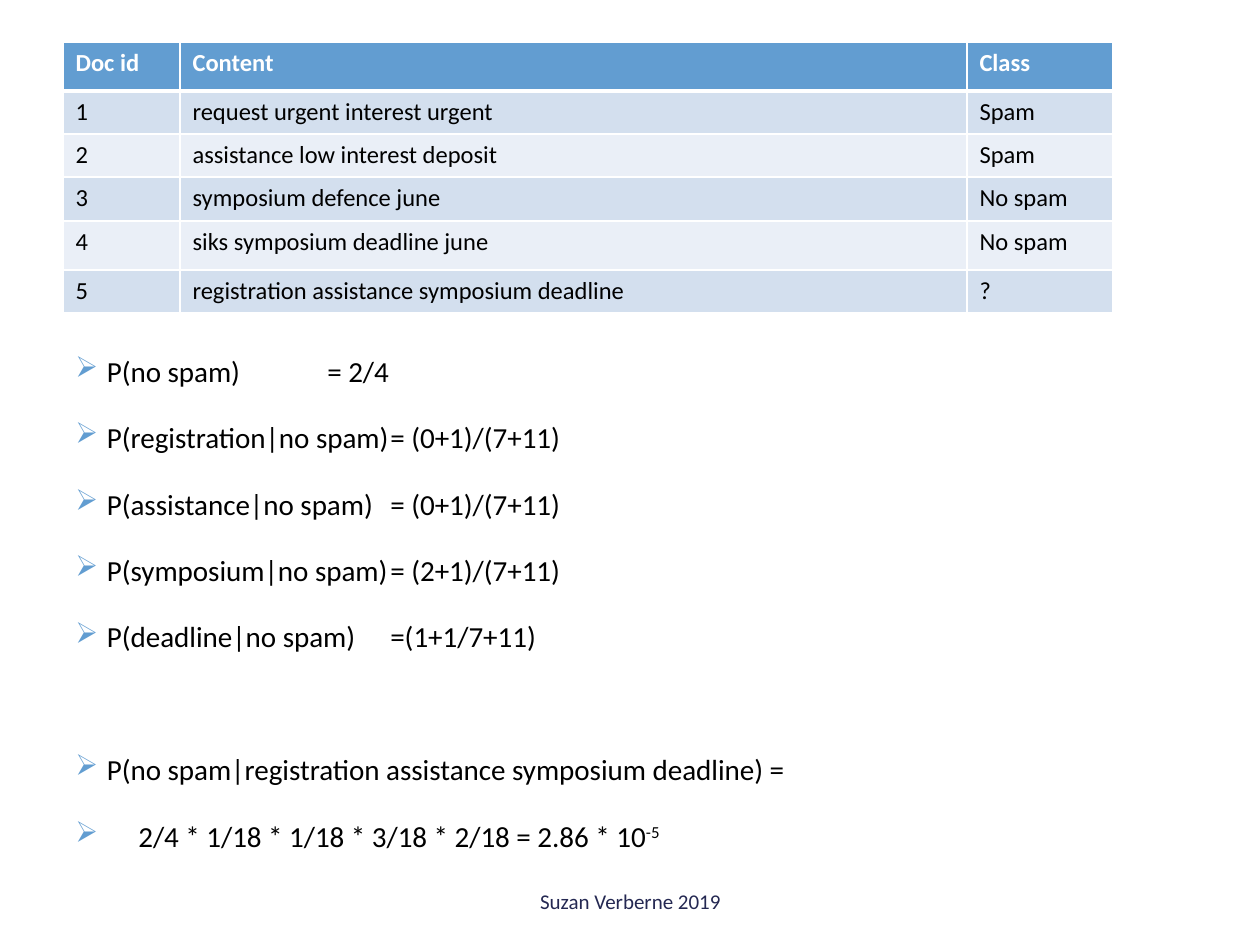
from lxml.etree import SubElement
from pptx import Presentation
from pptx.dml.color import RGBColor
from pptx.enum.text import MSO_ANCHOR, PP_ALIGN
from pptx.oxml import parse_xml
from pptx.oxml.ns import nsdecls, qn
from pptx.util import Emu, Pt

EMU_PER_PIXEL = 914400 / 126
BLUE, WHITE, BLACK, NAVY = "629DD1", "FFFFFF", "000000", "242852"
BANDS = ["D3DFEE", "EAEFF7"]

DOCUMENTS = [
    ("Doc id", "Content", "Class"),
    ("1", "request urgent interest urgent", "Spam"),
    ("2", "assistance low interest deposit", "Spam"),
    ("3", "symposium defence june", "No spam"),
    ("4", "siks symposium deadline june", "No spam"),
    ("5", "registration assistance symposium deadline", "?"),
]
COLUMN_WIDTHS = [117, 787, 146]
ROW_HEIGHTS = [49, 43, 43, 44, 49, 43]

PROBABILITIES = [
    ("P(no spam)\t\t= 2/4", 0),
    ("P(registration|no spam)\t= (0+1)/(7+11)", 18),
    ("P(assistance|no spam)\t= (0+1)/(7+11)", 18),
    ("P(symposium|no spam)\t= (2+1)/(7+11)", 18),
    ("P(deadline|no spam)\t=(1+1/7+11)", 18),
    ("P(no spam|registration assistance symposium deadline) =", 56),
    ("\t2/4 * 1/18 * 1/18 * 3/18 * 2/18 = 2.86 * 10", 18),
]


def px(pixels):
    return Emu(round(pixels * EMU_PER_PIXEL))


def color(hex_code):
    return RGBColor.from_string(hex_code)


def write(paragraph, text, size, hex_code=BLACK, bold=False, baseline=0):
    run = paragraph.add_run()
    run.text = text
    run.font.name = "Calibri"
    run.font.size = Pt(size)
    run.font.bold = bold
    run.font.color.rgb = color(hex_code)
    if baseline:
        run.font._element.set("baseline", str(baseline * 1000))


def set_borders(cell, widths):
    properties = cell._tc.get_or_add_tcPr()
    for position, (side, width) in enumerate(widths.items()):
        properties.insert(position, parse_xml(
            f'<a:ln{side} {nsdecls("a")} w="{Pt(width)}"><a:solidFill>'
            f'<a:srgbClr val="{WHITE}"/></a:solidFill></a:ln{side}>'))


def add_bullet(paragraph):
    properties = paragraph._p.get_or_add_pPr()
    properties.set("marL", str(px(31.5)))
    properties.set("indent", str(px(-31.5)))
    bullet_color = SubElement(properties, qn("a:buClr"))
    SubElement(bullet_color, qn("a:srgbClr"), val=BLUE)
    SubElement(properties, qn("a:buChar"), char="\u27a2")


def text_frame(slide, left, top, width, height):
    frame = slide.shapes.add_textbox(
        px(left), px(top), px(width), px(height)).text_frame
    frame.word_wrap = True
    return frame


def document_table(slide, left, top):
    documents = slide.shapes.add_table(
        len(DOCUMENTS), len(COLUMN_WIDTHS), px(left), px(top),
        px(sum(COLUMN_WIDTHS)), px(sum(ROW_HEIGHTS))).table
    for column, width in zip(documents.columns, COLUMN_WIDTHS):
        column.width = px(width)
    for index, (row, height, entries) in enumerate(
            zip(documents.rows, ROW_HEIGHTS, DOCUMENTS)):
        row.height = px(height)
        header = index == 0
        for cell, entry in zip(row.cells, entries):
            set_borders(cell, {"L": 1, "R": 1, "T": 3 if index == 1 else 1,
                               "B": 3 if header else 1})
            cell.fill.solid()
            cell.fill.fore_color.rgb = color(
                BLUE if header else BANDS[(index - 1) % 2])
            write(cell.text_frame.paragraphs[0], entry, size=14, bold=header,
                  hex_code=WHITE if header else BLACK)


def probability_list(slide, left, top, width, height):
    frame = text_frame(slide, left, top, width, height)
    for index, (statement, gap) in enumerate(PROBABILITIES):
        paragraph = frame.add_paragraph() if index else frame.paragraphs[0]
        paragraph.space_before = Pt(gap)
        add_bullet(paragraph)
        write(paragraph, statement, size=16.6)
    write(paragraph, "-5", size=16.6, baseline=30)


def footer(slide, left, top, width, height):
    frame = text_frame(slide, left, top, width, height)
    frame.vertical_anchor = MSO_ANCHOR.MIDDLE
    frame.paragraphs[0].alignment = PP_ALIGN.CENTER
    write(frame.paragraphs[0], "Suzan Verberne 2019", size=12, hex_code=NAVY)


presentation = Presentation()
presentation.slide_width, presentation.slide_height = px(1260), px(945)
spam_slide = presentation.slides.add_slide(presentation.slide_layouts[6])
document_table(spam_slide, 63, 42)
probability_list(spam_slide, 63, 347, 1071, 498)
footer(spam_slide, 431, 876, 399, 50)
presentation.save("out.pptx")
